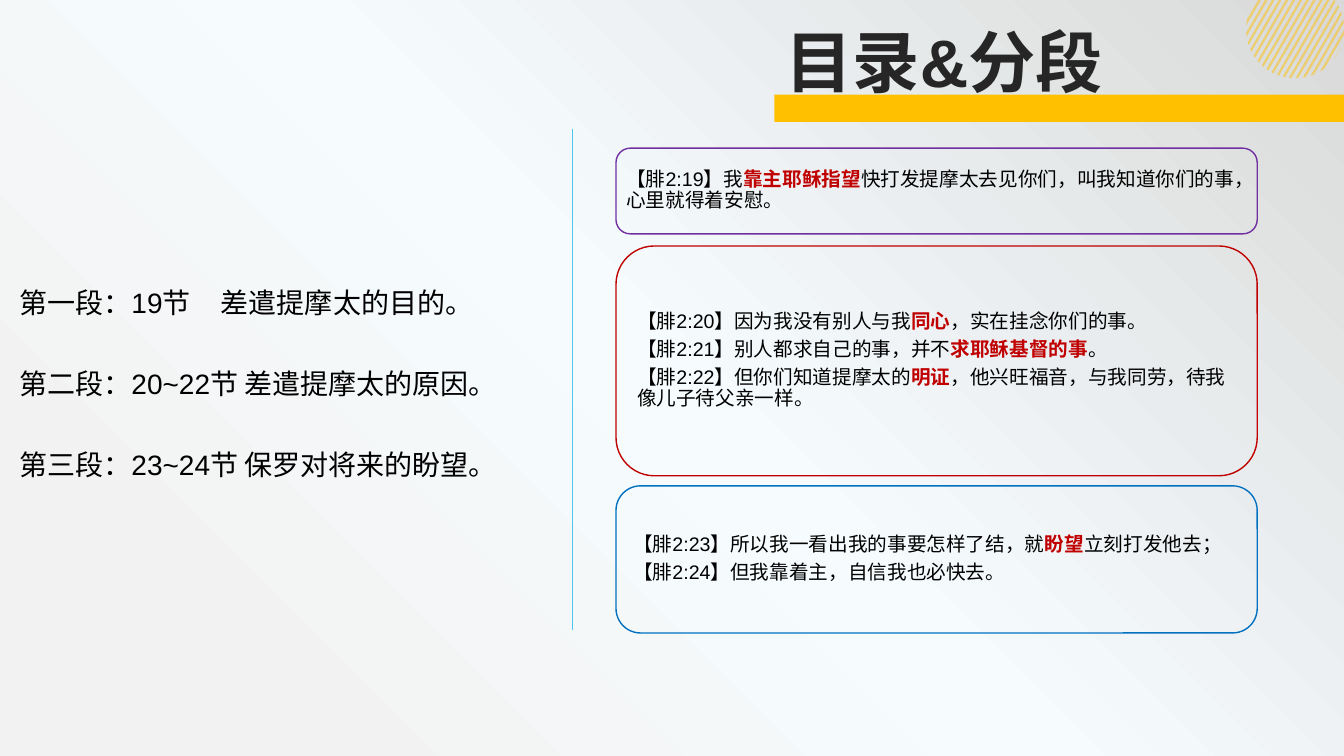
import math

import pptx
import pptx.util
import pptx.oxml
import pptx.oxml.ns
from pptx.dml.color import RGBColor
from pptx.enum.shapes import MSO_CONNECTOR, MSO_SHAPE
from pptx.enum.text import MSO_ANCHOR, MSO_AUTO_SIZE, PP_ALIGN

CELL = pptx.util.Inches(0.1)  # grid of 133.3 columns by 75 rows
COLS, ROWS = 133.3, 75

GOLD = RGBColor(0xFF, 0xC0, 0x00)
INK = RGBColor(0x26, 0x26, 0x26)
BLACK = RGBColor(0x00, 0x00, 0x00)
RED = RGBColor(0xC0, 0x00, 0x00)
PURPLE = RGBColor(0x70, 0x30, 0xA0)
BLUE = RGBColor(0x00, 0x70, 0xC0)
SKY = RGBColor(0x4C, 0xC5, 0xF0)

NO_MARGINS = {"margin_left": 0, "margin_right": 0, "margin_top": 0, "margin_bottom": 0}

SECTIONS = [
    "第一段：19节\t差遣提摩太的目的。",
    "第二段：20~22节 差遣提摩太的原因。",
    "第三段：23~24节 保罗对将来的盼望。",
]

# top row, height in rows, inset in columns, outline, verses (*emphasis*)
CARDS = [
    (14.7, 8.5, 0.6, PURPLE, [
        "【腓2:19】我*靠主耶稣指望*快打发提摩太去见你们，叫我知道你们的事，心里就得着安慰。",
    ]),
    (24.4, 22.8, 1, RED, [
        "【腓2:20】因为我没有别人与我*同心*，实在挂念你们的事。",
        "【腓2:21】别人都求自己的事，并不*求耶稣基督的事*。",
        "【腓2:22】但你们知道提摩太的*明证*，他兴旺福音，与我同劳，待我像儿子待父亲一样。",
    ]),
    (48.2, 14.6, 1, BLUE, [
        "【腓2:23】所以我一看出我的事要怎样了结，就*盼望*立刻打发他去；",
        "【腓2:24】但我靠着主，自信我也必快去。",
    ]),
]


def cells(*counts):
    return [round(n * CELL) for n in counts]


def apply(target, values):
    for name, value in values.items():
        setattr(target, name, value)


def xml(tag, body=""):
    return pptx.oxml.parse_xml(f"<{tag} {pptx.oxml.ns.nsdecls('a', 'p')}>{body}</{tag.split()[0]}>")


def set_background(s):
    stops = "".join(
        f'<a:gs pos="{pos}"><a:srgbClr val="{color}">{alpha}</a:srgbClr></a:gs>'
        for pos, color, alpha in [
            (15000, "F2F2F2", ""),
            (50000, "F6FCFE", '<a:alpha val="27000"/>'),
            (100000, "D9D9D9", ""),
        ])
    s.element.cSld.insert(0, xml("p:bg", (
        f'<p:bgPr><a:gradFill><a:gsLst>{stops}</a:gsLst><a:path path="circle">'
        '<a:fillToRect t="100000" r="100000"/></a:path></a:gradFill>'
        '<a:effectLst/></p:bgPr>')))


def add_striped_circle(s):
    """Slanted stripes clipped by a circle and by the slide's top edge."""
    cx, cy, radius = 128.45, 2.9, 4.87
    step, width, first, count = 0.59, 0.22, -4.61, 17
    nx, ny = math.cos(math.radians(30)), math.sin(math.radians(30))

    def chord(offset):
        half = math.sqrt(max(radius ** 2 - offset ** 2, 0))
        top = max(-half, -(cy + ny * offset) / nx)
        return [cells(cx + nx * offset - ny * t, cy + ny * offset + nx * t)
                for t in (top, half)]

    for i in range(count):
        offset = first + i * step
        a, b = chord(offset)
        d, c = chord(min(offset + width, radius))
        builder = s.shapes.build_freeform(*a)
        builder.add_line_segments([b, c, d])
        stripe = builder.convert_to_shape()
        paint(stripe, fill=GOLD)
        color = stripe.element.spPr.find(".//" + pptx.oxml.ns.qn("a:srgbClr"))
        color.append(xml('a:alpha val="50000"'))


def paint(sp, fill=None, line=None):
    sp.shadow.inherit = False
    if fill is None:
        sp.fill.background()
    else:
        sp.fill.solid()
        sp.fill.fore_color.rgb = fill
    if line is None:
        sp.line.fill.background()
    else:
        apply(sp.line, {"width": pptx.util.Pt(1)})
        sp.line.color.rgb = line


def add_run(p, text, size, color, bold=False):
    r = p.add_run()
    r.text = text
    apply(r.font, {"name": "Arial", "size": pptx.util.Pt(size), "bold": bold})
    r.font.color.rgb = color


def paragraphs(tf, texts):
    """Yield one paragraph per text, starting with the frame's own."""
    for i, text in enumerate(texts):
        yield (tf.add_paragraph() if i else tf.paragraphs[0]), text


def move_placeholder(sp, box):
    """Put the placeholder on the grid, in front of everything so far."""
    apply(sp, dict(zip(("left", "top", "width", "height"), cells(*box))))
    apply(sp.text_frame, {"word_wrap": True, "auto_size": MSO_AUTO_SIZE.NONE,
                          "vertical_anchor": MSO_ANCHOR.TOP})
    sp.element.getparent().append(sp.element)
    return sp.text_frame


def fill_title(s):
    tf = move_placeholder(s.shapes.title, (76.9, 1.5, 46, 9.1))
    p = tf.paragraphs[0]
    p.alignment = PP_ALIGN.LEFT
    add_run(p, "目录&分段", 48, INK, bold=True)


def fill_sections(s):
    tf = move_placeholder(s.placeholders[1], (0.9, 27.2, 63.6, 21))
    for p, text in paragraphs(tf, SECTIONS):
        pPr = p._p.get_or_add_pPr()
        apply_none = {"marL": "0", "indent": "0"}
        for name, value in apply_none.items():
            pPr.set(name, value)
        pPr.append(xml("a:buNone"))
        pPr.append(xml("a:tabLst", f'<a:tab pos="{cells(22.6)[0]}" algn="l"/>'))
        gap = 0 if text == SECTIONS[0] else 29
        apply(p, {"line_spacing": 1.2, "space_before": pptx.util.Pt(gap),
                  "space_after": pptx.util.Pt(0)})
        add_run(p, text, 20, BLACK)


def add_card(s, top, height, inset, outline, verses):
    sp = s.shapes.add_shape(MSO_SHAPE.ROUNDED_RECTANGLE, *cells(61.1, top, 63.6, height))
    paint(sp, line=outline)
    tf = sp.text_frame
    apply(tf, {"word_wrap": True, "vertical_anchor": MSO_ANCHOR.MIDDLE})
    apply(tf, {side: cells(inset)[0] for side in NO_MARGINS})
    for p, verse in paragraphs(tf, verses):
        apply(p, {"alignment": PP_ALIGN.LEFT, "line_spacing": 0.9,
                  "space_after": pptx.util.Pt(5)})
        for i, part in enumerate(verse.split("*")):
            strong = i % 2 == 1
            add_run(p, part, 14, RED if strong else BLACK, strong)


def add_divider(s):
    line = s.shapes.add_connector(MSO_CONNECTOR.STRAIGHT, *cells(56.8, 12.8, 56.8, 62.5))
    line.line.width = pptx.util.Pt(0.5)
    line.line.color.rgb = SKY
    line.element.spPr.append(xml("a:effectLst"))


def main():
    prs = pptx.Presentation()
    prs.slide_width, prs.slide_height = cells(COLS, ROWS)
    s = prs.slides.add_slide(prs.slide_layouts[1])
    set_background(s)
    add_striped_circle(s)
    bar = s.shapes.add_shape(MSO_SHAPE.RECTANGLE, *cells(76.8, 9.4, COLS - 76.8, 2.7))
    paint(bar, fill=GOLD)
    fill_title(s)
    fill_sections(s)
    for card in CARDS:
        add_card(s, *card)
    add_divider(s)
    prs.save("out.pptx")


if __name__ == "__main__":
    main()
